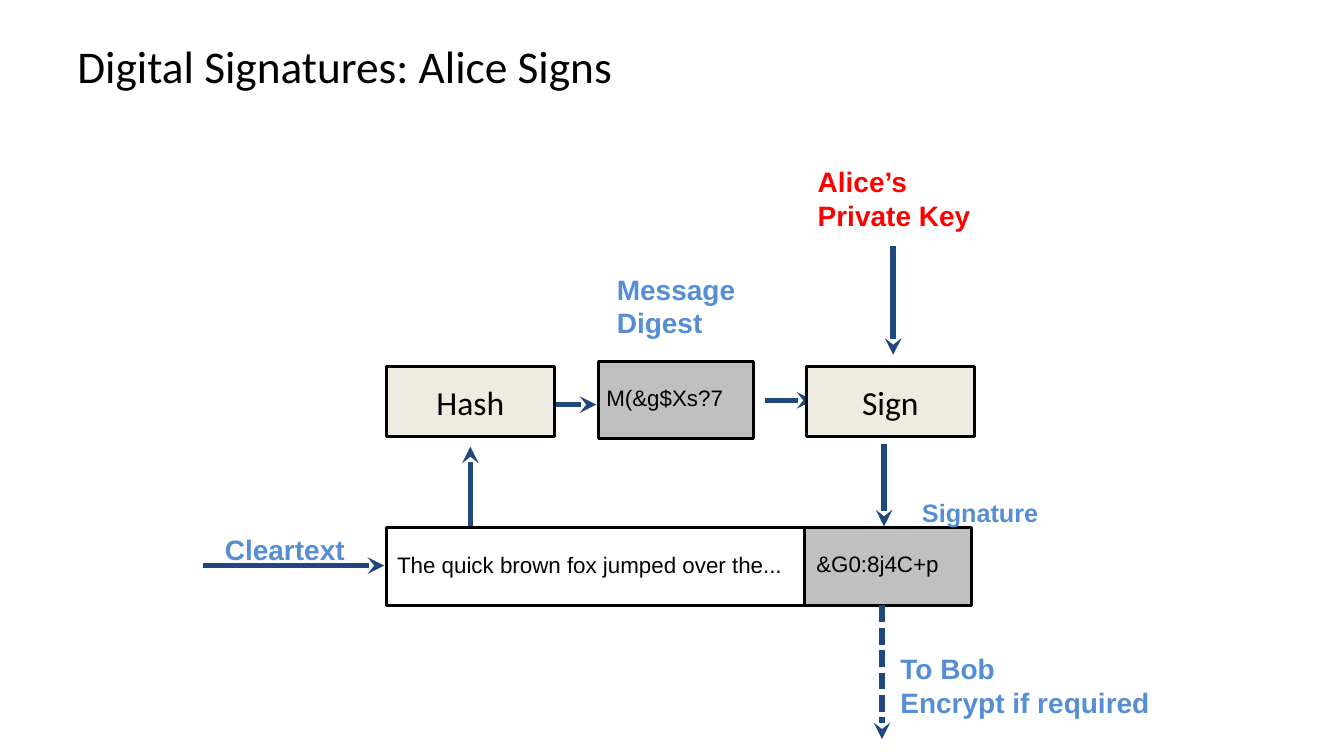
from pptx import Presentation
from pptx.dml.color import RGBColor
from pptx.enum.dml import MSO_LINE
from pptx.enum.shapes import MSO_CONNECTOR, MSO_SHAPE
from pptx.enum.text import MSO_ANCHOR, PP_ALIGN
from pptx.oxml.ns import qn
from pptx.util import Pt
from lxml.etree import SubElement

BLACK, WHITE, GRAY, BEIGE = "000000", "FFFFFF", "C0C0C0", "EEECE1"
NAVY, BLUE, RED = "1F497D", "558ED5", "FF0000"


def rgb(color):
    return RGBColor.from_string(color)


def write(tf, text, size, color=BLACK, font="Arial", bold=False, align=PP_ALIGN.LEFT):
    tf.text = text
    for p in tf.paragraphs:
        p.alignment = align
        for r in p.runs:
            r.font.name, r.font.size, r.font.bold = font, Pt(size), bold
            r.font.color.rgb = rgb(color)


def add_text(slide, text, x, y, w, h, size=16, color=BLACK, bold=False, wrap=True):
    tb = slide.shapes.add_textbox(Pt(x), Pt(y), Pt(w), Pt(h))
    tf = tb.text_frame
    tf.word_wrap = wrap
    write(tf, text, size, color, bold=bold)


def add_label(slide, text, x, y, w, h, size=20, color=BLUE):
    add_text(slide, text, x, y, w, h, size, color, bold=True, wrap=False)


def add_box(slide, x, y, w, h, fill):
    sp = slide.shapes.add_shape(MSO_SHAPE.RECTANGLE, Pt(x), Pt(y), Pt(w), Pt(h))
    sp.shadow.inherit = False
    sp.fill.solid()
    sp.fill.fore_color.rgb = rgb(fill)
    sp.line.color.rgb = rgb(BLACK)
    sp.line.width = Pt(2)
    return sp


def add_arrow(slide, x1, y1, x2, y2, dash=None):
    cn = slide.shapes.add_connector(MSO_CONNECTOR.STRAIGHT, Pt(x1), Pt(y1), Pt(x2), Pt(y2))
    cn.line.color.rgb = rgb(NAVY)
    cn.line.width = Pt(4)
    if dash:
        cn.line.dash_style = dash
    SubElement(cn.line._get_or_add_ln(), qn("a:tailEnd"), type="stealth")
    SubElement(cn._element.spPr, qn("a:effectLst"))


def add_title(slide, text, x, y, w, h):
    title = slide.shapes.title
    title.left, title.top, title.width, title.height = Pt(x), Pt(y), Pt(w), Pt(h)
    title.text_frame.vertical_anchor = MSO_ANCHOR.MIDDLE
    write(title.text_frame, text, 32.4, font="Calibri")


def add_cleartext(slide, x, y, w, h):
    add_arrow(slide, x - 131, y + 27, x - 1.5, y + 27)
    add_label(slide, "Cleartext", x - 122.5, y - 0.5, 101, 32)
    add_box(slide, x, y, w, h, WHITE)
    add_text(slide, "The quick brown fox jumped over the...", x + 0.5, y + 13, w + 46, 27)
    add_arrow(slide, x + 60, y - 1, x + 60, y - 58)


def add_digest(slide, x, y, w, h):
    add_label(slide, "Message\nDigest", x + 6, y - 67, 100, 55.5)
    add_arrow(slide, x - 34.5, y + 31, x - 1.5, y + 31)
    add_box(slide, x, y, w, h, GRAY)
    add_text(slide, "M(&g$Xs?7", x - 1.5, y + 13, w + 3.5, 27)
    add_arrow(slide, x + w + 8, y + 28, x + w + 42.5, y + 28)


def add_private_key(slide, x, y, w, h):
    add_label(slide, "Alice’s\nPrivate Key", x, y, w, h, color=RED)
    add_arrow(slide, x + 61, y + h + 6, x + 61, y + h + 84)


def add_signature(slide, x, y, w, h):
    add_arrow(slide, x + 57, y - 60, x + 57, y - 1)
    add_box(slide, x, y, w, h, GRAY)
    add_text(slide, "&G0:8j4C+p", x + 1.5, y + 12.5, w - 4.5, 27)
    add_label(slide, "Signature", x + 77, y - 25, 98.5, 29, size=18)


def add_delivery(slide, x, y, w, h):
    """Dashed arrow out of the signed message, with its label in the box."""
    add_text(slide, "To Bob\nEncrypt if required", x, y, w, h, 20, BLUE, bold=True)
    add_arrow(slide, x - 6, y - 29.5, x - 6, y + 66, MSO_LINE.SQUARE_DOT)


def add_operation(slide, name, x, y, w, h):
    sp = add_box(slide, x, y, w, h, BEIGE)
    sp.text_frame.vertical_anchor = MSO_ANCHOR.MIDDLE
    write(sp.text_frame, name, 24, font="Calibri", align=PP_ALIGN.CENTER)


def main():
    prs = Presentation()
    prs.slide_width, prs.slide_height = Pt(960), Pt(540)
    slide = prs.slides.add_slide(prs.slide_layouts[5])
    add_title(slide, "Digital Signatures: Alice Signs", 48, 21.5, 864, 50.5)
    add_cleartext(slide, 276, 377, 298.5, 55.5)
    add_digest(slide, 427.5, 258, 111, 55.5)
    add_private_key(slide, 577, 114, 124.5, 55.5)
    add_signature(slide, 574.5, 377, 119.5, 55.5)
    add_delivery(slide, 636, 462, 204, 55.5)
    for name, x in (("Hash", 276), ("Sign", 576)):
        add_operation(slide, name, x, 262, 120, 50)
    prs.save("out.pptx")


if __name__ == "__main__":
    main()
